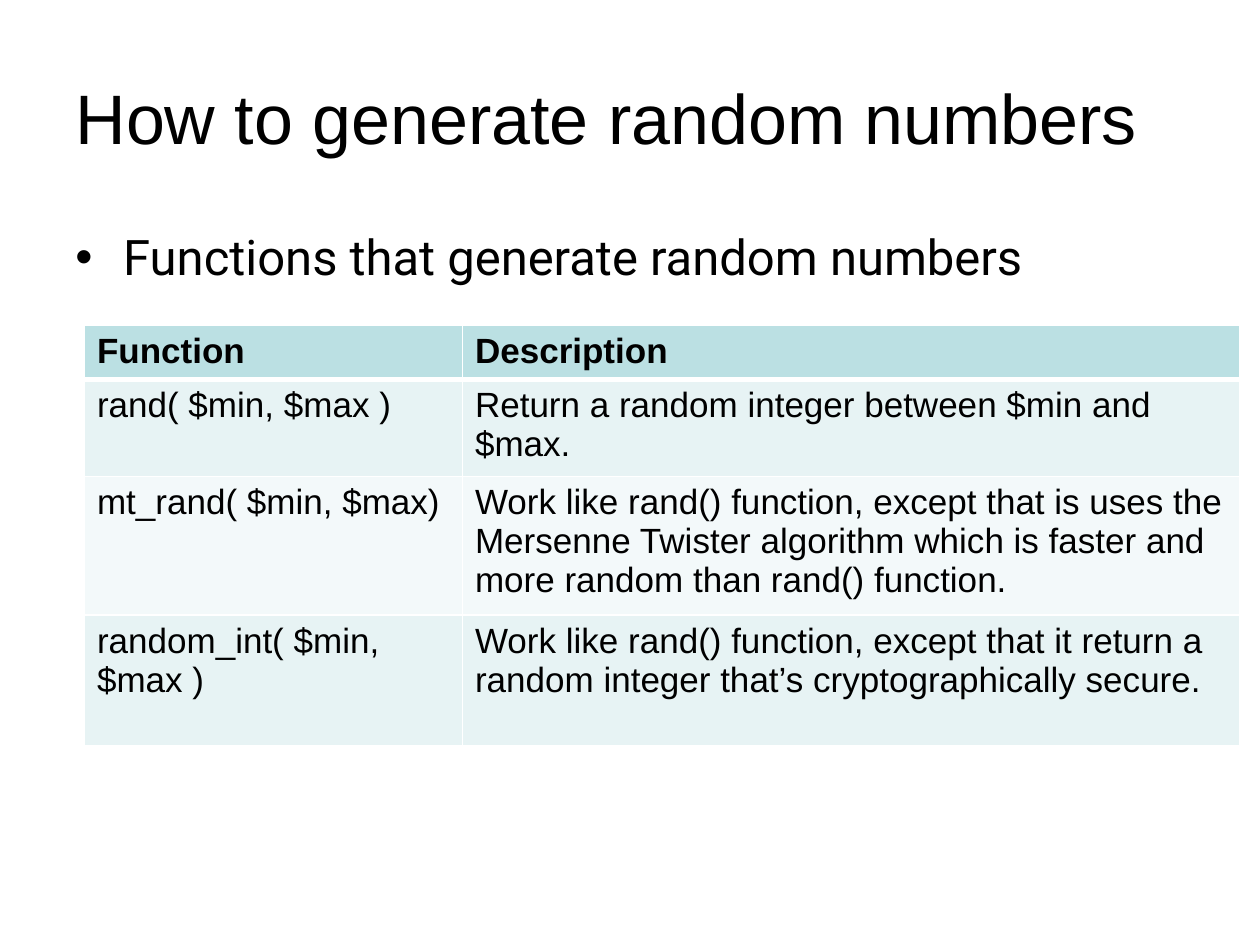
from pptx import Presentation
from pptx.dml.color import RGBColor as Rgb
from pptx.enum.text import MSO_ANCHOR as Anchor, MSO_AUTO_SIZE as Fit, PP_ALIGN as Align
from pptx.oxml.ns import qn
from pptx.util import Inches, Pt
from lxml.etree import SubElement as Sub

HEAD = {"name": "Arial", "size": Pt(40), "bold": False}
LIST = {"name": "Roboto", "size": Pt(28), "bold": False}
CELL = {"name": "Arial", "size": Pt(20), "bold": False}
BOLD = {**CELL, "bold": True}
FILLS = ["BBE0E3", "E7F3F4", "F3F9FA", "E7F3F4"]
COLS = [3, 6.17]
HIGHS = [0.42, 0.67, 1.04, 1.04]
ROWS = [
    ("Function", "Description"),
    ("rand( $min, $max )", "Return a random integer between $min and $max."),
    ("mt_rand( $min, $max)",
     "Work like rand() function, except that is uses the Mersenne Twister "
     "algorithm which is faster and more random than rand() function."),
    ("random_int( $min, $max )",
     "Work like rand() function, except that it return a random integer "
     "that’s cryptographically secure."),
]


def paint(item, color):
    item.solid()
    item.fore_color.rgb = Rgb.from_string(color)


def write(frame, text, style):
    para = frame.paragraphs[0]
    para.alignment = Align.LEFT
    run = para.add_run()
    run.text = text
    for key, value in style.items():
        setattr(run.font, key, value)
    paint(run.font.fill, "000000")
    return para


def place(shape, box):
    for key, value in zip(("left", "top", "width", "height"), box):
        setattr(shape, key, Inches(value))


def add_title(slide, box):
    title = slide.shapes.title
    place(title, box)
    frame = title.text_frame
    frame.auto_size = Fit.NONE
    frame.vertical_anchor = Anchor.MIDDLE
    write(frame, "How to generate random numbers", HEAD)


def add_list(slide, box):
    frame = slide.shapes.add_textbox(*map(Inches, box)).text_frame
    frame.word_wrap = True
    para = write(frame, "Functions that generate random numbers", LIST)
    props = para._p.get_or_add_pPr()
    props.set("marL", str(Inches(0.38)))
    props.set("indent", str(Inches(-0.38)))
    Sub(props, qn("a:buFont"), typeface="Arial")
    Sub(props, qn("a:buChar"), char="•")


def edge(cell, base):
    props = cell._tc.get_or_add_tcPr()
    for side in "LRTB":
        wide = base if side == "B" else 1
        line = Sub(props, qn(f"a:ln{side}"), w=str(Pt(wide)))
        Sub(Sub(line, qn("a:solidFill")), qn("a:srgbClr"), val="FFFFFF")


def add_grid(slide, left, top):
    box = map(Inches, (left, top, sum(COLS), sum(HIGHS)))
    grid = slide.shapes.add_table(len(ROWS), len(COLS), *box).table
    for col, wide in zip(grid.columns, COLS):
        col.width = Inches(wide)
    for r, (texts, high, fill) in enumerate(zip(ROWS, HIGHS, FILLS)):
        grid.rows[r].height = Inches(high)
        for c, text in enumerate(texts):
            cell = grid.cell(r, c)
            edge(cell, 1 if r else 3)
            paint(cell.fill, fill)
            write(cell.text_frame, text, CELL if r else BOLD)


def main():
    deck = Presentation()
    deck.slide_width, deck.slide_height = Inches(10), Inches(7.5)
    slide = deck.slides.add_slide(deck.slide_layouts[5])
    paint(slide.background.fill, "FFFFFF")
    add_title(slide, (0.5, 0.3, 9.33, 1.25))
    add_list(slide, (0.5, 1.75, 9, 4.95))
    add_grid(slide, 0.67, 2.58)
    deck.save("out.pptx")


if __name__ == "__main__":
    main()
